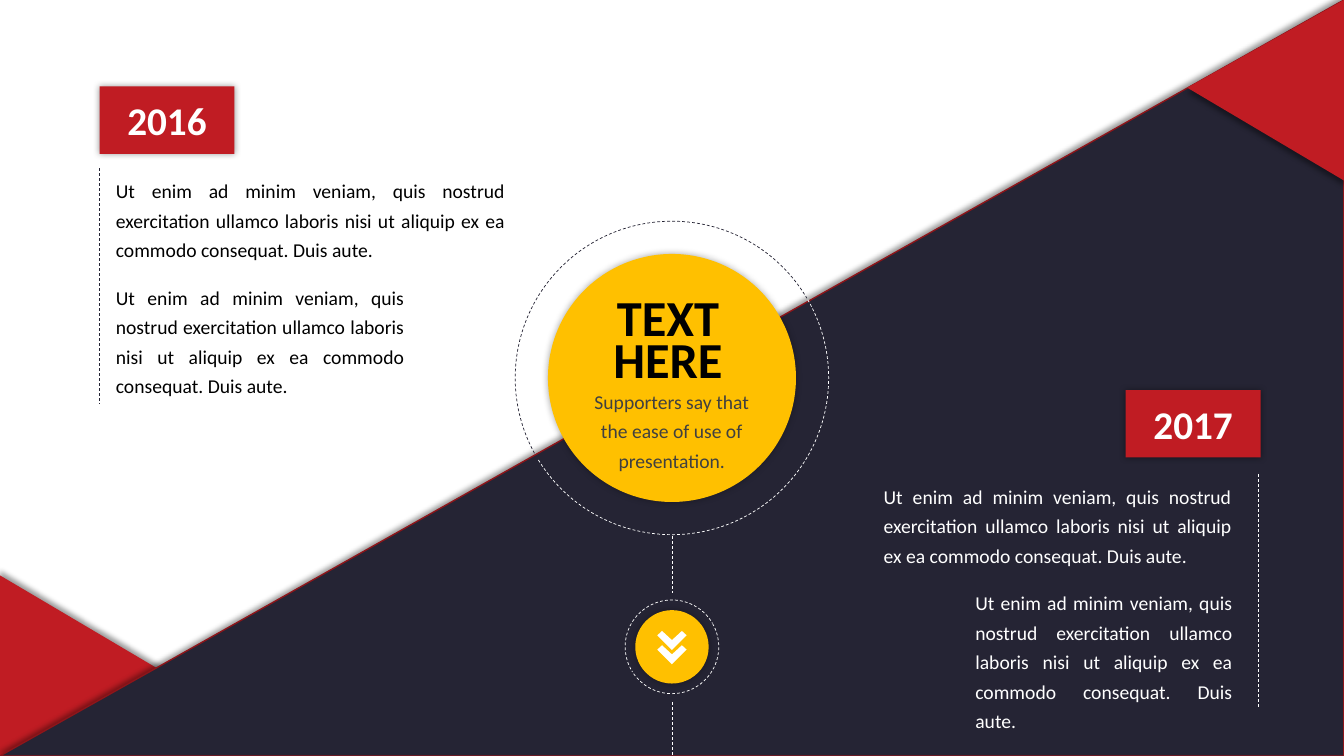
from dataclasses import dataclass
from lxml import etree
from pptx import Presentation
from pptx.dml.color import RGBColor
from pptx.enum.dml import MSO_LINE
from pptx.enum.shapes import MSO_CONNECTOR, MSO_SHAPE
from pptx.enum.text import MSO_ANCHOR, MSO_AUTO_SIZE, PP_ALIGN
from pptx.oxml.ns import qn
from pptx.util import Cm, Pt

DASH = MSO_LINE.DASH
LINE = MSO_CONNECTOR.STRAIGHT
ARC, OVAL, RECT = MSO_SHAPE.ARC, MSO_SHAPE.OVAL, MSO_SHAPE.RECTANGLE
WEDGE = MSO_SHAPE.RIGHT_TRIANGLE
TOP, MIDDLE = MSO_ANCHOR.TOP, MSO_ANCHOR.MIDDLE
NO_FIT = MSO_AUTO_SIZE.NONE
CENTER, JUSTIFY = PP_ALIGN.CENTER, PP_ALIGN.JUSTIFY


@dataclass(frozen=True)
class Theme:
    font: str = "Calibri"
    white: str = "FFFFFF"
    black: str = "000000"
    grey: str = "404040"
    navy: str = "252434"
    red: str = "C01C23"
    edge: str = "8E151A"
    gold: str = "FFC000"
    title: int = 36
    year: int = 28
    body: int = 14


theme = Theme()
WIDE, HIGH = 33.87, 19.05
MID_X, MID_Y, LOW_Y = WIDE / 2, HIGH / 2, 16.3
HUB, HUB_RING, DOT, DOT_RING = 6.25, 7.9, 1.85, 2.36
TITLE = "TEXT\nHERE"
NOTE = "Supporters say that the ease of use of presentation."
LOREM = ("Ut enim ad minim veniam, quis nostrud exercitation ullamco "
         "laboris nisi ut aliquip ex ea commodo consequat. Duis aute.")
CARDS = [
    dict(year="2016", badge=(2.51, 2.18), rule=(2.51, 4.24, 10.19),
         ink=theme.black, line=theme.navy,
         texts=[(2.67, 4.24, 10.31, 2.44), (2.67, 6.93, 7.77, 3.25)]),
    dict(year="2017", badge=(28.37, 9.83), rule=(31.72, 11.94, 17.83),
         ink=theme.white, line=theme.white,
         texts=[(22.02, 11.94, 9.27, 2.44), (24.33, 14.63, 6.98, 3.2)]),
]
ARCS = [
    (MID_Y, HUB_RING, (198.05, 89.4), theme.white),
    (MID_Y, HUB_RING, (90.77, 197.66), theme.navy),
    (LOW_Y, DOT_RING, (198.05, 89.4), theme.white),
    (LOW_Y, DOT_RING, (90.77, 197.66), theme.white),
]
STEMS = [(13.51, 14.94), (17.7, HIGH)]
CORNER = [(WIDE, 0), (WIDE, 4.55), (29.92, 2.21)]
CHEVRON = [(-0.37, 0.11), (-0.25, 0), (0, 0.23),
           (0.25, 0), (0.37, 0.11), (0, 0.48)]
ARROWS = [[(MID_X + x, 15.9 + drop + y) for x, y in CHEVRON]
          for drop in (0, 0.36)]

deck = Presentation()
deck.slide_width, deck.slide_height = Cm(WIDE), Cm(HIGH)
slide = deck.slides.add_slide(deck.slide_layouts[5])
shapes = slide.shapes


def rgb(code):
    return RGBColor.from_string(code)


def shade(shape, alpha, blur, gap=0, angle=0):
    shape.shadow.inherit = False
    effects = shape._element.spPr.find(qn("a:effectLst"))
    outer = etree.SubElement(
        effects, qn("a:outerShdw"), blurRad=str(Pt(blur)), dist=str(Pt(gap)),
        dir=str(angle * 60000), algn="ctr", rotWithShape="0")
    color = etree.SubElement(outer, qn("a:srgbClr"), val=theme.black)
    etree.SubElement(color, qn("a:alpha"), val=str(alpha * 1000))


def paint(shape, fill):
    shape.shadow.inherit = False
    shape.fill.solid()
    shape.fill.fore_color.rgb = rgb(fill)
    shape.line.fill.background()
    return shape


def block(kind, box, fill):
    return paint(shapes.add_shape(kind, *map(Cm, box)), fill)


def disc(mid, size, fill):
    shape = block(OVAL, (MID_X - size / 2, mid - size / 2, size, size), fill)
    shade(shape, 30, 5)


def stroke(shape, color):
    shape.line.color.rgb = rgb(color)
    shape.line.width = Pt(0.5)
    shape.line.dash_style = DASH


def rule(x, start, end, color):
    line = shapes.add_connector(LINE, Cm(x), Cm(start), Cm(x), Cm(end))
    stroke(line, color)
    etree.SubElement(line._element.spPr, qn("a:effectLst"))


def outline(loops, fill):
    loops = [[(Cm(x), Cm(y)) for x, y in loop] for loop in loops]
    pen = shapes.build_freeform(*loops[0][0])
    for i, loop in enumerate(loops):
        if i:
            pen.move_to(*loop[0])
        pen.add_line_segments(loop[1:], close=True)
    return paint(pen.convert_to_shape(), fill)


def write(shape, text, size, color, align, bold=False, anchor=TOP):
    frame = shape.text_frame
    frame.text = text
    frame.word_wrap = True
    frame.auto_size = NO_FIT
    frame.vertical_anchor = anchor
    for para in frame.paragraphs:
        para.alignment = align
        for run in para.runs:
            run.font.name = theme.font
            run.font.size = Pt(size)
            run.font.bold = bold
            run.font.color.rgb = rgb(color)
    return frame.paragraphs


def prose(box, text, color, align, after=0):
    shape = shapes.add_textbox(*map(Cm, box))
    para = write(shape, text, theme.body, color, align)[0]
    para.line_spacing = 1.25
    para.space_after = Pt(after)


def field(fill, angle, shadow):
    half = block(WEDGE, (0, 0, WIDE, HIGH), fill)
    half._element.spPr.find(qn("a:xfrm")).set("flipH", "1")
    half.rotation = angle
    shade(half, 40, 4, 3, shadow)
    return half


field(theme.white, 180, 90)
shade(block(WEDGE, (0, 14.5, 7.7, 4.55), theme.red), 40, 4, 3, 270)
ground = field(theme.navy, 0, 270)
ground.line.color.rgb = rgb(theme.edge)
ground.line.width = Pt(1)
shade(outline([CORNER], theme.red), 40, 4, 3, 90)

disc(MID_Y, HUB, theme.gold)
disc(LOW_Y, DOT, theme.gold)
for mid, size, ends, color in ARCS:
    arc = shapes.add_shape(ARC, Cm(MID_X - size / 2), Cm(mid - size / 2),
                           Cm(size), Cm(size))
    arc.shadow.inherit = False
    arc.fill.background()
    arc.adjustments[0], arc.adjustments[1] = ends
    stroke(arc, color)
for start, end in STEMS:
    rule(MID_X, start, end, theme.white)
outline(ARROWS, theme.white)

title = shapes.title
shapes._spTree.append(title._element)
title.left, title.top, title.width, title.height = map(
    Cm, (MID_X - 2.6, 7.54, 5, 2.4))
for para in write(title, TITLE, theme.title, theme.black, CENTER, True):
    para.line_spacing = Pt(30.24)
prose((14.43, 9.55, 5, 2.44), NOTE, theme.grey, CENTER)

for card in CARDS:
    badge = block(RECT, (*card["badge"], 3.4, 1.7), theme.red)
    shade(badge, 40, 5)
    write(badge, card["year"], theme.year, theme.white, CENTER, True, MIDDLE)
    rule(*card["rule"], card["line"])
    for box in card["texts"]:
        prose(box, LOREM, card["ink"], JUSTIFY, 6)

deck.save("out.pptx")
